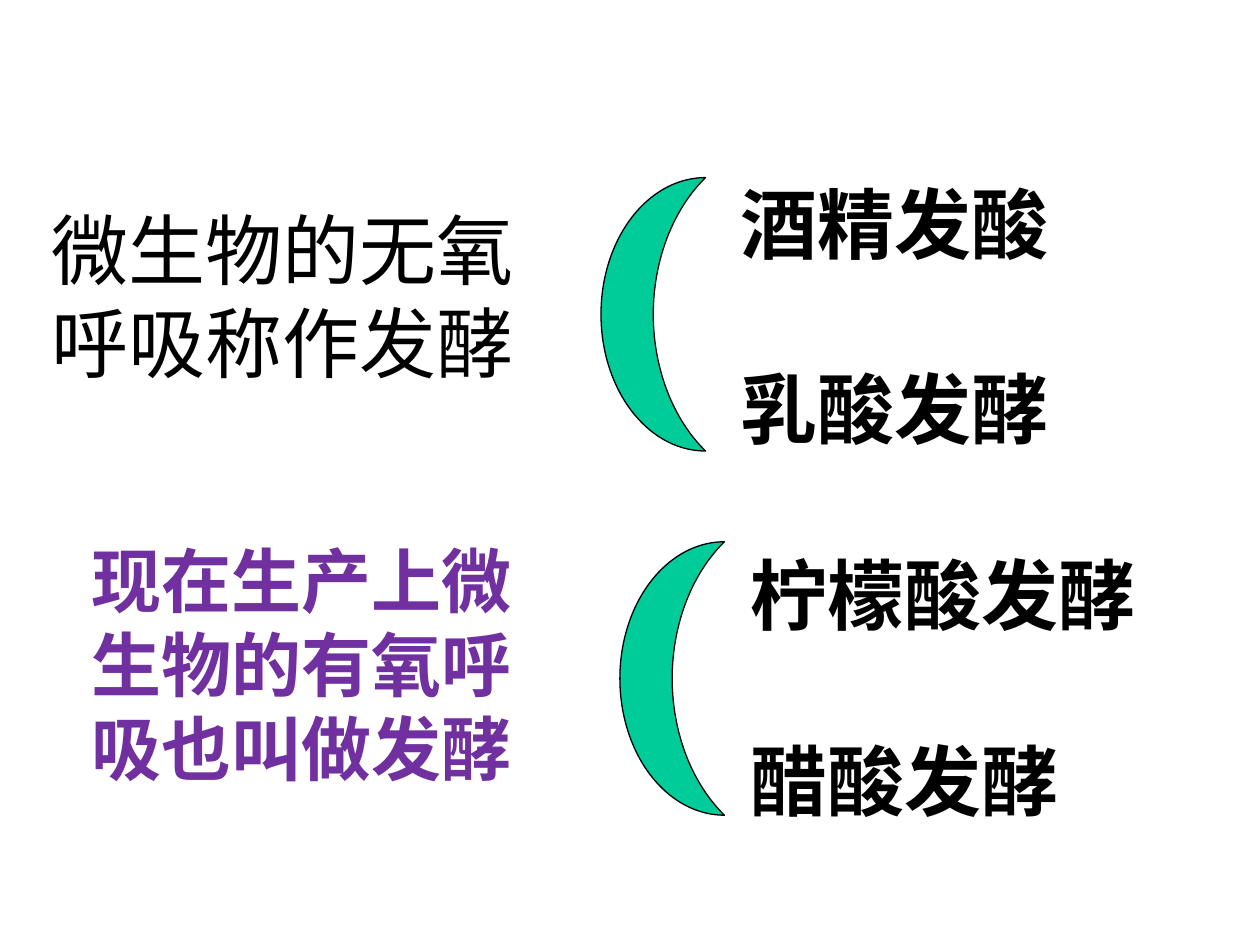
from pptx import Presentation
from pptx.dml.color import RGBColor
from pptx.enum.shapes import MSO_SHAPE
from pptx.enum.text import MSO_AUTO_SIZE
from pptx.util import Inches, Pt

MOON = MSO_SHAPE.MOON
GROW = MSO_AUTO_SIZE.SHAPE_TO_FIT_TEXT
BLACK = RGBColor(0x00, 0x00, 0x00)
GREEN = RGBColor(0x00, 0xCC, 0x99)
PURPLE = RGBColor(0x70, 0x30, 0xA0)


class Board:
    """Hold the style and the current slide."""

    font = "Times New Roman"
    gap = Pt(53)

    def __init__(self, slide):
        self.slide = slide

    def text(self, box, lines, size=44, color=BLACK, bold=True):
        shape = self.slide.shapes.add_textbox(*map(Inches, box))
        frame = shape.text_frame
        frame.word_wrap = True
        frame.auto_size = GROW
        frame.text = "\n".join(lines)
        for i, para in enumerate(frame.paragraphs):
            if i:
                para.space_before = self.gap
            for run in para.runs:
                run.font.name = self.font
                run.font.size = Pt(size)
                run.font.bold = bold
                run.font.color.rgb = color

    def moon(self, left, top):
        shape = self.slide.shapes.add_shape(
            MOON, Inches(left), Inches(top), Inches(0.83), Inches(2.17))
        shape.shadow.inherit = False
        shape.fill.solid()
        shape.fill.fore_color.rgb = GREEN
        shape.line.color.rgb = BLACK
        shape.line.width = Pt(0.75)


def main():
    deck = Presentation()
    deck.slide_width = Inches(10)
    deck.slide_height = Inches(7.5)
    board = Board(deck.slides.add_slide(deck.slide_layouts[6]))

    board.text((0.31, 1.56, 4.22, 1.57), ["微生物的无氧呼吸称作发酵"], bold=False)
    board.moon(4.77, 1.41)
    board.text((5.78, 1.35, 3.13, 2.3), ["酒精发酸", "乳酸发酵"])

    board.text((0.63, 4.22, 3.91, 2.1), ["现在生产上微生物的有氧呼吸也叫做发酵"],
               size=40, color=PURPLE)
    board.moon(4.92, 4.3)
    board.text((5.86, 4.3, 3.52, 2.3), ["柠檬酸发酵", "醋酸发酵"])

    deck.save("out.pptx")


if __name__ == "__main__":
    main()
